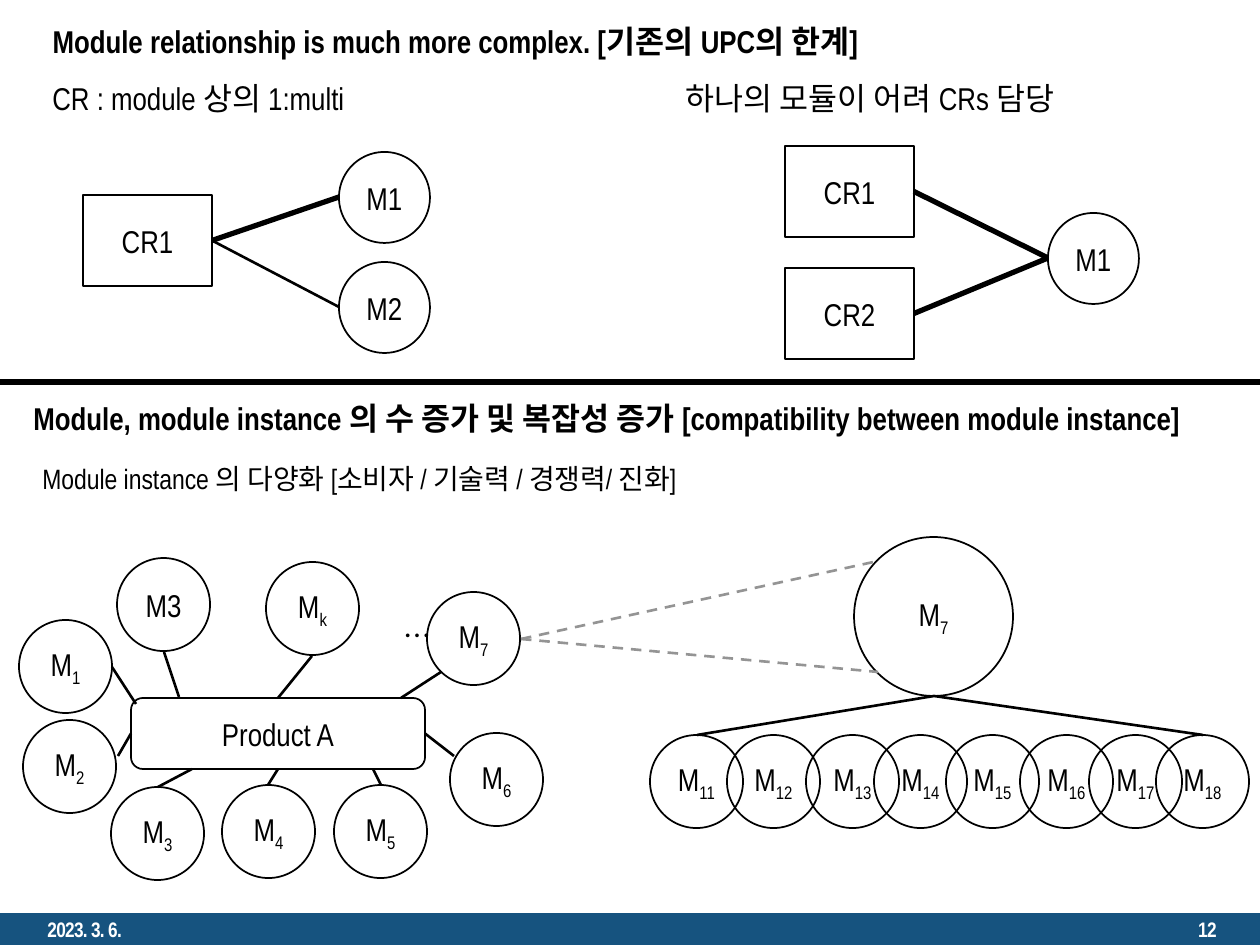
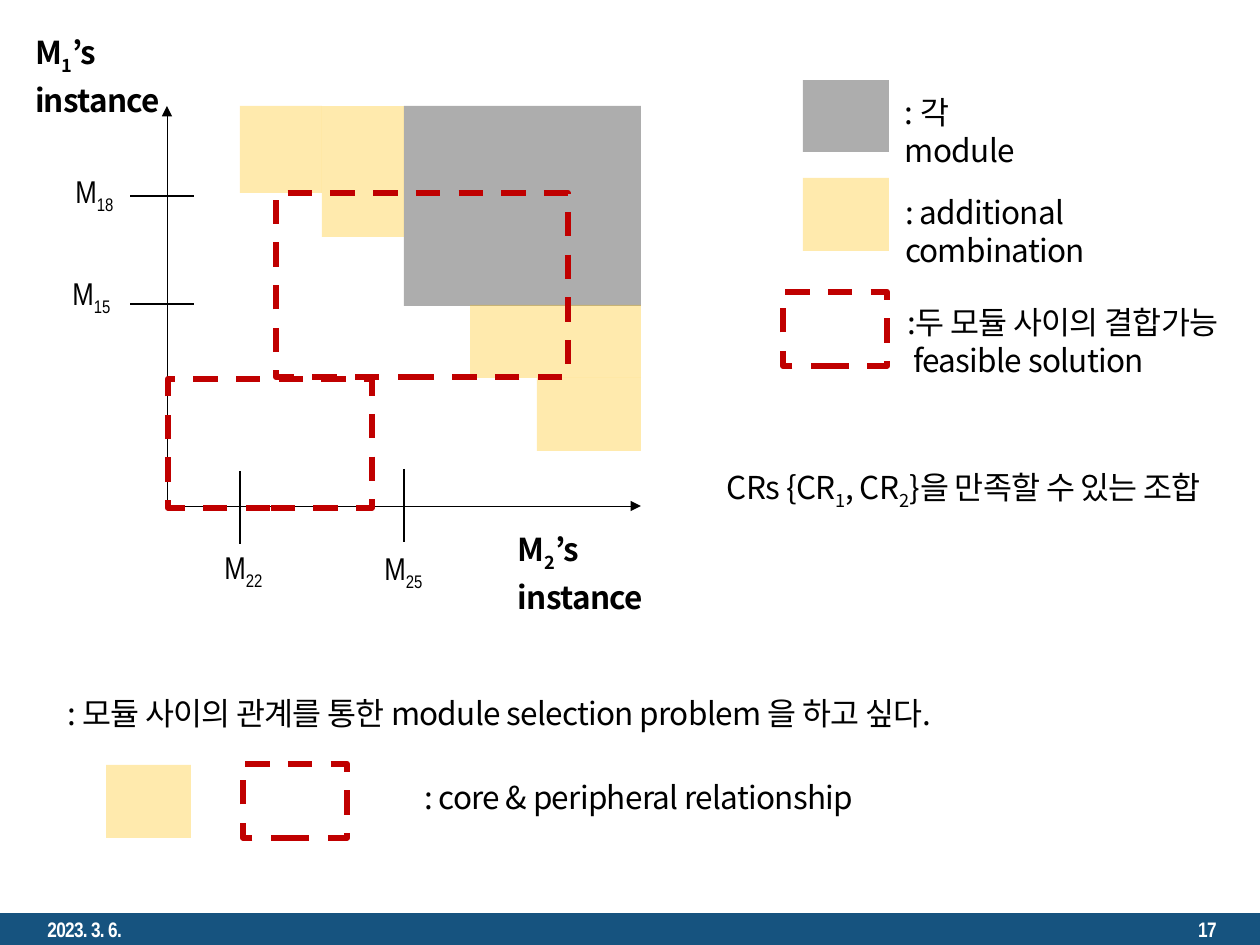
from lxml import etree
from pptx import Presentation
from pptx.dml.color import RGBColor
from pptx.enum.dml import MSO_LINE
from pptx.enum.shapes import MSO_CONNECTOR, MSO_SHAPE
from pptx.enum.text import MSO_ANCHOR, PP_ALIGN
from pptx.oxml.ns import qn
from pptx.util import Pt

SCALE = 914400 / 126
WIDTH, HEIGHT = 1260, 945
COLORS = {
    "ink": "000000",
    "white": "FFFFFF",
    "band": "16537F",
    "zoom": "949494",
    "module": "000000",
    "addition": "FFC000",
    "feasible": "C00000",
}
NARROW = "Arial Narrow"
GOTHIC = "Noto Sans CJK KR"
RECTANGLE = MSO_SHAPE.RECTANGLE
ROUNDED = MSO_SHAPE.ROUNDED_RECTANGLE
OVAL = MSO_SHAPE.OVAL
STRAIGHT = MSO_CONNECTOR.STRAIGHT
DASH = MSO_LINE.DASH
LEFT, CENTER, RIGHT = PP_ALIGN.LEFT, PP_ALIGN.CENTER, PP_ALIGN.RIGHT
TOP, MIDDLE = MSO_ANCHOR.TOP, MSO_ANCHOR.MIDDLE
TOP_SIDE, LEFT_SIDE, BOTTOM_SIDE, RIGHT_SIDE = range(4)
BAND = (0, 913, WIDTH, 32)
CIRCLE = 91
SATELLITE = 93


def emu(*lengths):
    return [round(length * SCALE) for length in lengths]


def rgb(name):
    return RGBColor.from_string(COLORS[name])


def write(shape, text, align=LEFT, anchor=TOP, wrap=True, inset=None,
          line_height=None, font=NARROW, color="ink", size=18, bold=False, spacing=0):
    frame = shape.text_frame
    frame.word_wrap = wrap
    frame.vertical_anchor = anchor
    if inset is not None:
        for side in ("left", "top", "right", "bottom"):
            setattr(frame, f"margin_{side}", inset)
    font_values = {"name": font, "size": Pt(size), "bold": bold}
    for index, line in enumerate(text.split("\n")):
        paragraph = frame.add_paragraph() if index else frame.paragraphs[0]
        paragraph.alignment = align
        paragraph.space_before = Pt(0)
        if line_height:
            paragraph.line_spacing = Pt(line_height)
        for position, part in enumerate(line.split("_")):
            if not part:
                continue
            run = paragraph.add_run()
            run.text = part
            for name, value in font_values.items():
                setattr(run.font, name, value)
            run.font.color.rgb = rgb(color)
            properties = run._r.get_or_add_rPr()
            if position % 2:
                properties.set("baseline", "-25000")
            if spacing:
                properties.set("spc", str(spacing))
            etree.SubElement(properties, qn("a:ea")).set("typeface", font)


def add_text(slide, box, text, **values):
    write(slide.shapes.add_textbox(*emu(*box)), text, **values)


def add_gothic(slide, box, text, **values):
    settings = {"font": GOTHIC, "inset": 0, "line_height": 22, "spacing": -40}
    add_text(slide, box, text, **{**settings, **values})


def add_outline(slide, kind, box, text="", color="ink", width=1, dash=None):
    shape = slide.shapes.add_shape(kind, *emu(*box))
    shape.shadow.inherit = False
    shape.fill.background()
    shape.line.color.rgb = rgb(color)
    shape.line.width = Pt(width)
    if dash:
        shape.line.dash_style = dash
    if text:
        write(shape, text, align=CENTER, anchor=MIDDLE, wrap=False)
    return shape


def add_circle(slide, left, top, size, text):
    return add_outline(slide, OVAL, (left, top, size, size), text)


def add_feasible(slide, box):
    add_outline(slide, RECTANGLE, box, color="feasible", width=3.5, dash=DASH)


def add_fill(slide, box, color, alpha=None):
    shape = slide.shapes.add_shape(RECTANGLE, *emu(*box))
    shape.shadow.inherit = False
    shape.fill.solid()
    shape.fill.fore_color.rgb = rgb(color)
    shape.line.fill.background()
    if alpha:
        fill_color = shape.element.spPr.find(qn("a:solidFill"))[0]
        etree.SubElement(fill_color, qn("a:alpha")).set("val", str(alpha * 1000))
    return shape


def add_area(slide, box, color):
    add_fill(slide, box, color, alpha=32)


def add_line(slide, start, end, width=1.5, color="ink", dash=None, arrow=False, joined=None):
    connector = slide.shapes.add_connector(STRAIGHT, *emu(*start, *end))
    if joined:
        connector.begin_connect(*joined)
    connector.line.color.rgb = rgb(color)
    connector.line.width = Pt(width)
    if dash:
        connector.line.dash_style = dash
    if arrow:
        line = connector.line._get_or_add_ln()
        etree.SubElement(line, qn("a:tailEnd")).set("type", "triangle")
    etree.SubElement(connector.element.spPr, qn("a:effectLst"))


def add_master_band(presentation, slide):
    band = add_fill(slide, BAND, "band")
    band.element.xpath(".//p:cNvPr")[0].set("id", "20")
    presentation.slide_master.shapes.element.insert(2, band.element)


def add_footer(slide, number):
    values = {"anchor": MIDDLE, "color": "white", "size": 12, "bold": True, "spacing": -40}
    add_text(slide, (35, 913, 284, 32), "2023. 3. 6.", **values)
    add_text(slide, (945, 913, 284, 32), number, align=RIGHT, **values)


def set_title(slide, box, text):
    title = slide.shapes.title
    title.left, title.top, title.width, title.height = emu(*box)
    write(title, text, bold=True)


def draw_requirements(slide):
    add_text(slide, (40, 73, 368, 50), "CR : module 상의 1:multi")
    add_text(slide, (673, 73, 536, 50), "하나의 모듈이 어려 CRs 담당")

    requirement = add_outline(slide, RECTANGLE, (83, 195, 129, 91), "CR1")
    for text, top, width in (("M1", 152, 3), ("M2", 262, 1.5)):
        add_circle(slide, 339, top, CIRCLE, text)
        add_line(slide, (212, 240), (339, top + 45), width, joined=(requirement, RIGHT_SIDE))

    add_circle(slide, 1048, 213, CIRCLE, "M1")
    for text, top in (("CR1", 146), ("CR2", 268)):
        requirement = add_outline(slide, RECTANGLE, (785, top, 129, 91), text)
        add_line(slide, (914, top + 45), (1048, 258), 3, joined=(requirement, RIGHT_SIDE))


def draw_product(slide):
    product = add_outline(slide, ROUNDED, (131, 698, 294, 71), "Product A")
    satellites = (
        ("M_1", 19, 620), ("M_2", 23, 720), ("M_3", 111, 787),
        ("M_4", 222, 785), ("M_5", 334, 785), ("M_6", 450, 733),
        ("M_k", 266, 562), ("M_7", 427, 592), ("M3", 117, 558),
    )
    for text, left, top in satellites:
        add_circle(slide, left, top, SATELLITE, text)
    add_gothic(slide, (404, 614, 37, 34), "…", size=16)

    side_links = (
        (LEFT_SIDE, (131, 733), (118, 756)),
        (TOP_SIDE, (278, 698), (312, 656)),
        (RIGHT_SIDE, (425, 733), (454, 756)),
        (BOTTOM_SIDE, (278, 769), (268, 785)),
    )
    for side, start, end in side_links:
        add_line(slide, start, end, joined=(product, side))
    free_links = (
        ((112, 667), (136, 704)), ((164, 652), (179, 697)),
        ((441, 672), (401, 698)), ((373, 769), (381, 785)),
        ((192, 769), (158, 787)),
    )
    for start, end in free_links:
        add_line(slide, start, end)


def draw_instances(slide):
    add_circle(slide, 854, 537, 159, "M_7")
    for top in (561, 672):
        add_line(slide, (521, 639), (878, top), color="zoom", dash=DASH)
    lefts = (650, 727, 806, 874, 946, 1020, 1089, 1156)
    for number, left in enumerate(lefts, 11):
        add_circle(slide, left, 735, SATELLITE, f"M_{number}")
    for left in (lefts[0], lefts[-1]):
        add_line(slide, (934, 696), (left + 47, 735))


def draw_axes(slide):
    origin = (167, 506)
    for end in ((167, 106), (641, 506)):
        add_line(slide, origin, end, width=0.5, arrow=True)
    for box, text in (((35, 33, 185, 76), "M_1_’s instance"),
                      ((518, 530, 185, 76), "M_2_’s instance")):
        add_gothic(slide, box, text, bold=True, line_height=24.5)


def draw_ticks(slide):
    for height in (196, 304):
        add_line(slide, (194, height), (130, height))
    for left, top in ((240, 471), (404, 469)):
        add_line(slide, (left, top), (left, top + 73))
    labels = (("M_18", 63, 166), ("M_15", 60, 268), ("M_22", 212, 542), ("M_25", 372, 543))
    for text, left, top in labels:
        add_text(slide, (left, top, 69, 50), text)


def draw_combinations(slide):
    add_area(slide, (404, 106, 237, 200), "module")
    for box in ((322, 106, 82, 131), (470, 305, 171, 73),
                (240, 106, 82, 87), (537, 378, 104, 73)):
        add_area(slide, box, "addition")
    for box in ((276, 193, 292, 184), (168, 379, 204, 129)):
        add_feasible(slide, box)


def draw_legend(slide):
    add_area(slide, (803, 80, 86, 72), "module")
    add_area(slide, (803, 178, 86, 73), "addition")
    add_feasible(slide, (783, 292, 104, 74))
    add_gothic(slide, (905, 92, 150, 76), ": 각 module")
    add_gothic(slide, (905, 192, 320, 76), ": additional combination")
    add_gothic(slide, (907, 302, 349, 77), ":두 모듈 사이의 결합가능\n feasible solution")
    add_gothic(slide, (727, 473, 518, 38), "CRs {CR_1_, CR_2_}을 만족할 수 있는 조합")


def draw_conclusion(slide):
    add_gothic(slide, (67, 693, 1000, 38),
               ": 모듈 사이의 관계를 통한 module selection problem 을 하고 싶다.")
    add_area(slide, (106, 765, 85, 73), "addition")
    add_feasible(slide, (243, 764, 104, 74))
    add_gothic(slide, (418, 777, 480, 38), " : core & peripheral relationship")


def build_relationship_slide(presentation):
    slide = presentation.slides.add_slide(presentation.slide_layouts[5])
    add_master_band(presentation, slide)
    add_footer(slide, "12")
    set_title(slide, (40, 16, 1008, 50),
              "Module relationship is much more complex. [기존의 UPC의 한계]")
    draw_requirements(slide)
    add_line(slide, (0, 382), (WIDTH, 382), 3)
    add_text(slide, (21, 393, 1230, 50),
             "Module, module instance 의 수 증가 및 복잡성 증가 "
             "[compatibility between module instance]", bold=True)
    add_text(slide, (30, 455, 829, 47),
             "Module instance 의 다양화 [소비자 / 기술력 / 경쟁력/ 진화]", size=16)
    draw_product(slide)
    draw_instances(slide)


def build_combination_slide(presentation):
    slide = presentation.slides.add_slide(presentation.slide_layouts[6])
    add_footer(slide, "17")
    draw_axes(slide)
    draw_ticks(slide)
    draw_combinations(slide)
    draw_legend(slide)
    draw_conclusion(slide)


def main():
    presentation = Presentation()
    presentation.slide_width, presentation.slide_height = emu(WIDTH, HEIGHT)
    build_relationship_slide(presentation)
    build_combination_slide(presentation)
    presentation.save("out.pptx")


if __name__ == "__main__":
    main()
